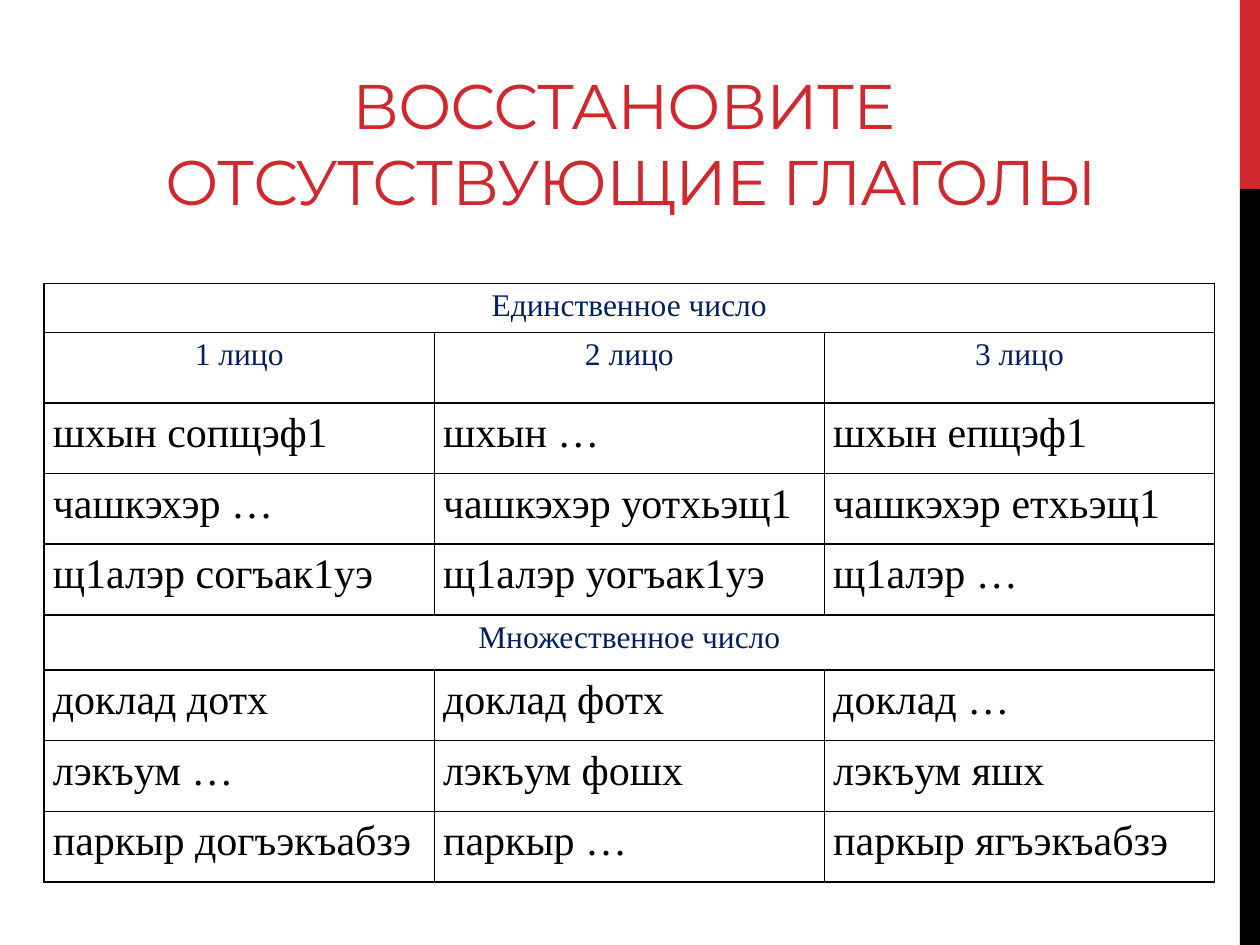
from lxml import etree
from pptx import Presentation
from pptx.dml.color import RGBColor as Rgb
from pptx.enum.shapes import MSO_SHAPE as Shape
from pptx.enum.text import MSO_ANCHOR as Anchor, PP_ALIGN as Align
from pptx.oxml.ns import qn
from pptx.util import Inches, Pt

COLORS = {"red": "D1282E", "black": "000000", "navy": "002060"}
TITLE = "ВОССТАНОВИТЕ \nОТСУТСТВУЮЩИЕ ГЛАГОЛЫ"

# A one-item row spans the whole table
ROWS = [
    ["Единственное число"],
    ["1 лицо", "2 лицо", "3 лицо"],
    ["шхын сопщэф1", "шхын …", "шхын епщэф1"],
    ["чашкэхэр …", "чашкэхэр уотхьэщ1", "чашкэхэр етхьэщ1"],
    ["щ1алэр согъак1уэ", "щ1алэр уогъак1уэ", "щ1алэр …"],
    ["Множественное число"],
    ["доклад дотх", "доклад фотх", "доклад …"],
    ["лэкъум …", "лэкъум фошх", "лэкъум яшх"],
    ["паркыр догъэкъабзэ", "паркыр …", "паркыр ягъэкъабзэ"],
]
ROW_HEIGHT = 0.56
SPECIAL_HEIGHTS = {0: 0.39, 5: 0.44}
HEADING_ROWS = {0, 1, 5}


def write_text(frame, text, *, size, color, font="Times New Roman",
               align=Align.CENTER, line_spacing=1.0, tracking=None):
    """Fill the first paragraph of a frame, breaking lines at newlines."""
    para = frame.paragraphs[0]
    para.alignment = align
    para.line_spacing = line_spacing
    for index, line in enumerate(text.split("\n")):
        if index:
            para.add_line_break()
        span = para.add_run()
        span.text = line
        span.font.size = Pt(size)
        span.font.name = font
        span.font.color.rgb = Rgb.from_string(COLORS[color])
        if tracking is not None:
            span.font._element.set("spc", str(round(tracking * 100)))


class SlideBuilder:
    def __init__(self, slide):
        self.slide = slide

    def bar(self, left, top, width, height, color):
        bar = self.slide.shapes.add_shape(
            Shape.RECTANGLE, Inches(left), Inches(top), Inches(width), Inches(height))
        bar.shadow.inherit = False
        bar.fill.solid()
        bar.fill.fore_color.rgb = Rgb.from_string(COLORS[color])
        bar.line.fill.background()

    def title(self, left, top, width, height, text):
        box = self.slide.shapes.add_textbox(
            Inches(left), Inches(top), Inches(width), Inches(height))
        frame = box.text_frame
        frame.word_wrap = True
        frame.vertical_anchor = Anchor.BOTTOM
        write_text(frame, text, size=36, color="red", font="Montserrat", tracking=-0.6)

    def table(self, left, top, width, rows):
        heights = [SPECIAL_HEIGHTS.get(i, ROW_HEIGHT) for i in range(len(rows))]
        columns = max(len(row) for row in rows)
        table = self.slide.shapes.add_table(
            len(rows), columns, Inches(left), Inches(top),
            Inches(width), Inches(sum(heights))).table
        table.first_row = table.horz_banding = False
        for column in table.columns:
            column.width = Inches(width / columns)
        for row_index, texts in enumerate(rows):
            table.rows[row_index].height = Inches(heights[row_index])
            for column_index in range(columns):
                self.style_cell(table.cell(row_index, column_index))
            if len(texts) == 1:
                table.cell(row_index, 0).merge(table.cell(row_index, columns - 1))
            heading = row_index in HEADING_ROWS
            for column_index, text in enumerate(texts):
                write_text(table.cell(row_index, column_index).text_frame, text,
                           size=18 if heading else 24,
                           color="navy" if heading else "black",
                           align=Align.CENTER if heading else Align.JUSTIFY,
                           line_spacing=1.15)

    def style_cell(self, cell):
        cell.margin_left = cell.margin_right = Inches(0.07)
        cell.margin_top = cell.margin_bottom = 0
        # Borders come before the fill in the cell properties
        properties = cell._tc.get_or_add_tcPr()
        for side in ("a:lnL", "a:lnR", "a:lnT", "a:lnB"):
            line = etree.SubElement(properties, qn(side), w=str(Pt(1)))
            fill = etree.SubElement(line, qn("a:solidFill"))
            etree.SubElement(fill, qn("a:srgbClr"), val=COLORS["black"])
        cell.fill.background()


def main():
    deck = Presentation()
    deck.slide_width, deck.slide_height = Inches(10), Inches(7.5)
    page = SlideBuilder(deck.slides.add_slide(deck.slide_layouts[6]))

    # Right edge bars
    page.bar(9.84, 0, 0.16, 1.5, "red")
    page.bar(9.84, 1.5, 0.16, 6, "black")

    # Title and verb table
    page.title(0.51, 0.36, 9, 1.42, TITLE)
    page.table(0.35, 2.25, 9.29, ROWS)

    deck.save("out.pptx")


if __name__ == "__main__":
    main()
